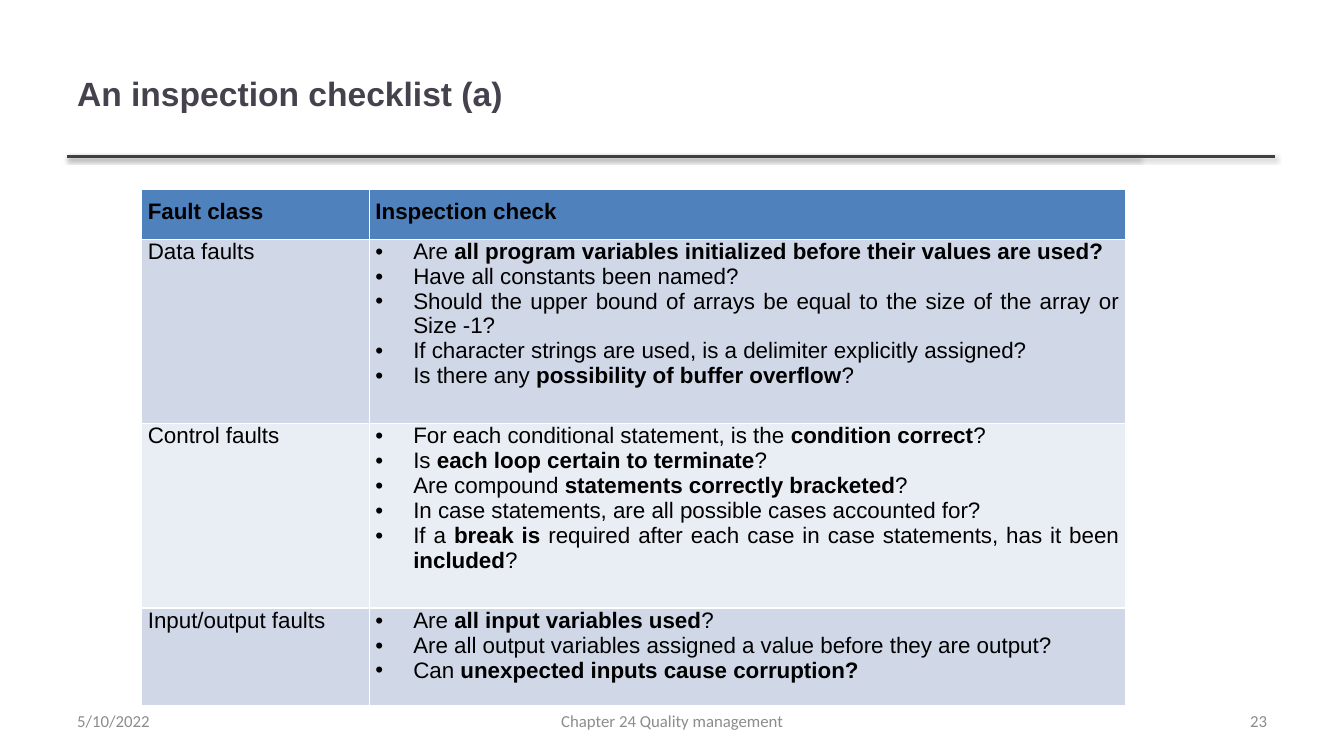
from pptx import Presentation
from pptx.dml.color import RGBColor
from pptx.enum import shapes, text
from pptx.oxml import parse_xml
from pptx.oxml.ns import nsdecls
from pptx.util import Pt

INK = RGBColor(0x00, 0x00, 0x00)
TITLE = RGBColor(0x46, 0x42, 0x4D)
RULE = RGBColor(0x40, 0x40, 0x40)
FOOTER = RGBColor(0x8C, 0x8C, 0x8C)
HEADER_FILL = RGBColor(0x4F, 0x81, 0xBD)
BANDS = [RGBColor(0xD0, 0xD8, 0xE8), RGBColor(0xE9, 0xED, 0xF4)]
LEFT, CENTER, RIGHT, JUSTIFY = (text.PP_ALIGN.LEFT, text.PP_ALIGN.CENTER,
                                text.PP_ALIGN.RIGHT, text.PP_ALIGN.JUSTIFY)


def add_run(p, words, size, font, color, bold=False):
    r = p.add_run()
    r.text = words
    r.font.size = Pt(size)
    r.font.name = font
    r.font.color.rgb = color
    r.font.bold = bold


def add_label(s, box, words, size, font, color, align, bold=False):
    tf = s.shapes.add_textbox(*[Pt(v) for v in box]).text_frame
    tf.word_wrap = True
    tf.vertical_anchor = text.MSO_ANCHOR.MIDDLE
    p = tf.paragraphs[0]
    p.alignment = align
    add_run(p, words, size, font, color, bold)


prs = Presentation()
prs.slide_width, prs.slide_height = Pt(960), Pt(540)
s = prs.slides.add_slide(prs.slide_layouts[6])

for end in (815, 911):
    line = s.shapes.add_connector(shapes.MSO_CONNECTOR.STRAIGHT,
                                  Pt(48), Pt(111.6), Pt(end), Pt(111.6))
    line.line.color.rgb = RULE
    line.line.width = Pt(2)
    line._element.spPr.append(parse_xml(
        f'<a:effectLst {nsdecls("a")}><a:outerShdw blurRad="39370" dist="20320" '
        'dir="5400000" rotWithShape="0"><a:srgbClr val="000000">'
        '<a:alpha val="38000"/></a:srgbClr></a:outerShdw></a:effectLst>'))

add_label(s, (48, 21.6, 765.4, 90), "An inspection checklist (a)",
          24, "Arial", TITLE, LEFT, True)

checklist = [
    ("*Fault class*", ["*Inspection check*"]),
    ("Data faults", [
        "Are *all program variables initialized before their values are used?*",
        "Have all constants been named?",
        "Should the upper bound of arrays be equal to the size of the array or Size -1?",
        "If character strings are used, is a delimiter explicitly assigned?",
        "Is there any *possibility of buffer overflow*?"]),
    ("Control faults", [
        "For each conditional statement, is the *condition correct*?",
        "Is *each loop certain to terminate*?",
        "Are compound *statements correctly bracketed*?",
        "In case statements, are all possible cases accounted for?",
        "If a *break is *required after each case in case statements, "
        "has it been *included*?"]),
    ("Input/output faults", [
        "Are *all input variables used*?",
        "Are all output variables assigned a value before they are output?",
        "Can *unexpected inputs cause corruption?*"]),
]
widths = [162.6, 540]
heights = [35.3, 131.8, 131.8, 69.7]
table = s.shapes.add_table(len(heights), len(widths), Pt(101.3), Pt(135.5),
                           Pt(sum(widths)), Pt(sum(heights))).table
for column, width in zip(table.columns, widths):
    column.width = Pt(width)
for i, (fault, checks) in enumerate(checklist):
    table.rows[i].height = Pt(heights[i])
    for j, items in enumerate(([fault], checks)):
        cell = table.cell(i, j)
        cell.margin_left = cell.margin_right = Pt(4.3)
        cell.margin_top = Pt(0 if i else 7.2)
        cell.margin_bottom = Pt(7.2)
        tcPr = cell._tc.get_or_add_tcPr()
        for side in ("lnL", "lnR", "lnT", "lnB"):
            tcPr.append(parse_xml(
                f'<a:{side} {nsdecls("a")} w="12700"><a:solidFill>'
                f'<a:srgbClr val="FFFFFF"/></a:solidFill></a:{side}>'))
        cell.fill.solid()
        cell.fill.fore_color.rgb = BANDS[(i - 1) % 2] if i else HEADER_FILL
        tf = cell.text_frame
        for n, item in enumerate(items):
            p = tf.add_paragraph() if n else tf.paragraphs[0]
            p.alignment = JUSTIFY
            if i and j:
                pPr = p._p.get_or_add_pPr()
                pPr.set("marL", str(Pt(27)))
                pPr.set("indent", str(-Pt(27)))
                pPr.append(parse_xml(f'<a:buFont {nsdecls("a")} typeface="Arial"/>'))
                pPr.append(parse_xml(f'<a:buChar {nsdecls("a")} char="•"/>'))
            for k, words in enumerate(item.split("*")):
                if words:
                    add_run(p, words, 16, "Arial", INK, k % 2 == 1)

for left, width, words, align in [
        (328.3, 303.8, "Chapter 24 Quality management", CENTER),
        (688.3, 223.9, "23", RIGHT),
        (48, 223.9, "5/10/2022", LEFT)]:
    add_label(s, (left, 500.4, width, 28.8), words, 12, "Calibri", FOOTER, align)

prs.save("out.pptx")
